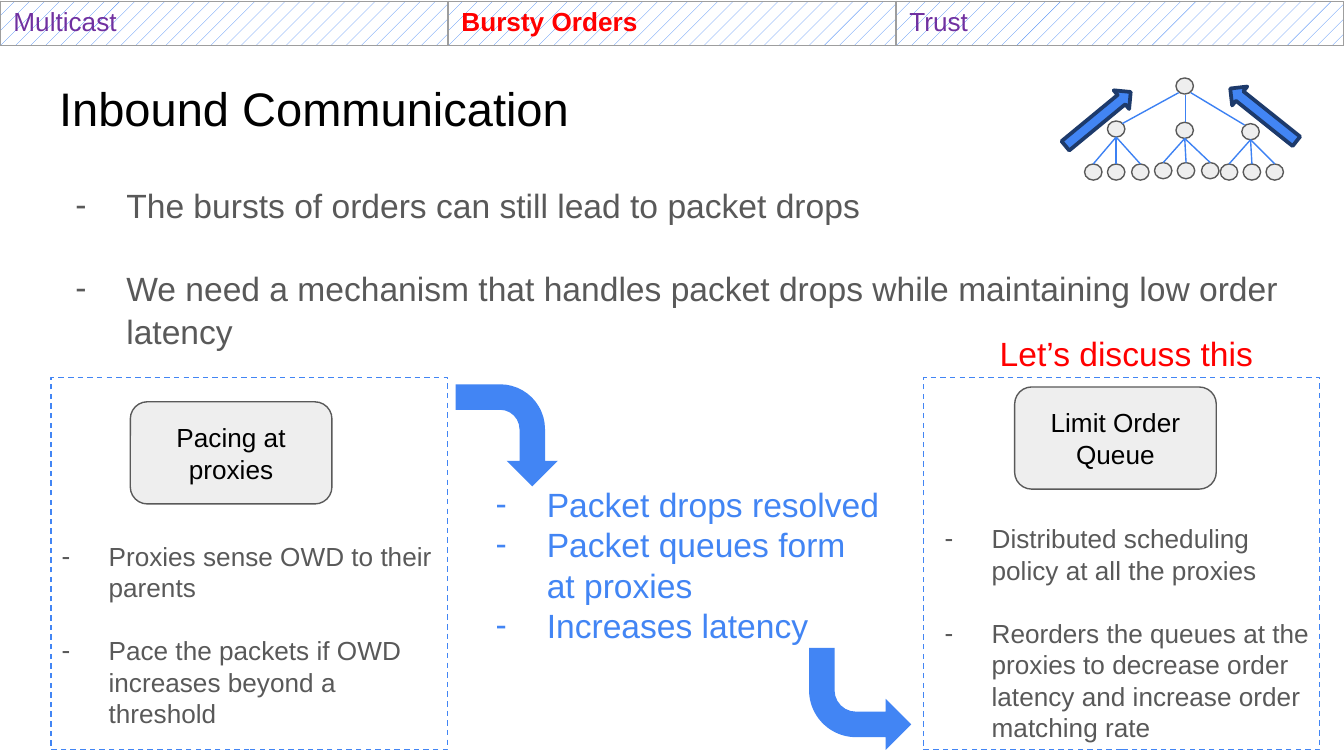
"""Build the slide on inbound communication and bursty orders."""
from lxml import etree
from pptx import Presentation
from pptx.dml.color import RGBColor
from pptx.enum.dml import MSO_LINE, MSO_PATTERN
from pptx.enum.shapes import MSO_CONNECTOR, MSO_SHAPE
from pptx.enum.text import MSO_ANCHOR, MSO_AUTO_SIZE, PP_ALIGN
from pptx.oxml.ns import qn
from pptx.util import Inches, Pt

BLACK = RGBColor(0x00, 0x00, 0x00)
WHITE = RGBColor(0xFF, 0xFF, 0xFF)
GRAY = RGBColor(0x59, 0x59, 0x59)
LIGHT = RGBColor(0xEE, 0xEE, 0xEE)
BLUE = RGBColor(0x42, 0x85, 0xF4)
EDGE_BLUE = RGBColor(0x3C, 0x81, 0xF3)
NAVY = RGBColor(0x1D, 0x3A, 0x6B)
RED = RGBColor(0xFF, 0x00, 0x00)
PURPLE = RGBColor(0x70, 0x30, 0xA0)
BORDER = RGBColor(0x9E, 0x9E, 0x9E)

prs = Presentation()
prs.slide_width = Inches(10)
prs.slide_height = Inches(10 * 9 / 16)
slide = prs.slides.add_slide(prs.slide_layouts[1])
shapes = slide.shapes


def write(frame, lines, size, color, hanging=0, gap=0, align=PP_ALIGN.LEFT):
    frame.word_wrap = True
    frame.auto_size = MSO_AUTO_SIZE.NONE
    frame.margin_left = frame.margin_right = Inches(0.1)
    frame.margin_top = frame.margin_bottom = Inches(0.1)
    frame.text = "\n".join(lines)
    for paragraph in frame.paragraphs:
        paragraph.alignment = align
        paragraph.space_before = Pt(0)
        paragraph.space_after = Pt(gap if paragraph.text != lines[-1] else 0)
        font = paragraph.runs[0].font
        font.name, font.size, font.color.rgb = "Arial", Pt(size), color
        if hanging:
            props = paragraph._p.get_or_add_pPr()
            props.set("marL", str(Inches(0.5)))
            props.set("indent", str(-Inches(hanging)))
            bullet_color = etree.SubElement(props, qn("a:buClr"))
            etree.SubElement(bullet_color, qn("a:srgbClr"), val=str(color))
            etree.SubElement(props, qn("a:buFont"), typeface="Arial")
            etree.SubElement(props, qn("a:buChar"), char="-")


def draw(kind, left, top, width, height, fill=None, line=None, weight=0.75):
    shape = shapes.add_shape(kind, Inches(left), Inches(top), Inches(width), Inches(height))
    shape.shadow.inherit = False
    if fill is None:
        shape.fill.background()
    else:
        shape.fill.solid()
        shape.fill.fore_color.rgb = fill
    if line is None:
        shape.line.fill.background()
    else:
        shape.line.color.rgb = line
        shape.line.width = Pt(weight)
    return shape


title, body = shapes.title, slide.placeholders[1]
title.left, title.top, title.width, title.height = [Inches(v) for v in (0.34, 0.49, 9.32, 0.63)]
body.left, body.top, body.width, body.height = [Inches(v) for v in (0.34, 1.26, 9.32, 1.47)]
title.text_frame.vertical_anchor = MSO_ANCHOR.MIDDLE
write(title.text_frame, ["Inbound Communication"], 25.2, BLACK)
write(body.text_frame, [
    "The bursts of orders can still lead to packet drops",
    "We need a mechanism that handles packet drops while maintaining low order latency",
], 18, GRAY, hanging=0.38, gap=22)
for paragraph in body.text_frame.paragraphs:
    paragraph.line_spacing = 1.05

for panel_left in (6.87, 0.38):
    panel = draw(MSO_SHAPE.RECTANGLE, panel_left, 2.81, 2.95, 2.77, line=BLUE)
    panel.line.dash_style = MSO_LINE.DASH

for heading, left, top in (("Pacing at proxies", 0.97, 2.99), ("Limit Order Queue", 7.55, 2.88)):
    badge = draw(MSO_SHAPE.ROUNDED_RECTANGLE, left, top, 1.5, 0.76, LIGHT, GRAY)
    badge.text_frame.vertical_anchor = MSO_ANCHOR.MIDDLE
    write(badge.text_frame, [heading], 14, BLACK, align=PP_ALIGN.CENTER)

pacing = ["Proxies sense OWD to their parents",
          "Pace the packets if OWD increases beyond a threshold"]
effects = ["Packet drops resolved", "Packet queues form at proxies", "Increases latency"]
queueing = ["Distributed scheduling policy at all the proxies",
            "Reorders the queues at the proxies to decrease order latency "
            "and increase order matching rate"]
for lines, left, top, width, height, size, color, hanging, gap in (
    (pacing, 0.21, 3.92, 3.12, 1.62, 14, GRAY, 0.35, 17),
    (effects, 3.47, 3.5, 3.18, 1.41, 18, BLUE, 0.38, 0),
    (queueing, 6.78, 3.79, 3.12, 1.85, 14, GRAY, 0.35, 17),
    (["Let’s discuss this"], 7.34, 2.38, 2.2, 0.5, 18, RED, 0, 0),
):
    note = shapes.add_textbox(Inches(left), Inches(top), Inches(width), Inches(height))
    write(note.text_frame, lines, size, color, hanging, gap)

for left, top, rotation, bend in ((3.39, 2.86, 90, 0.44), (6.02, 4.82, 180, 0.46)):
    turn = draw(MSO_SHAPE.BENT_ARROW, left, top, 0.76, 0.76, BLUE)
    turn.rotation = rotation
    turn.adjustments[3] = bend
turn._element.spPr.find(qn("a:xfrm")).set("flipH", "1")

agenda = shapes.add_table(1, 3, Inches(0), Inches(0.01), Inches(10), Inches(0.33)).table
agenda.first_row = agenda.horz_banding = False
for cell, (topic, color) in zip(agenda.iter_cells(), (
    ("Multicast", PURPLE), ("Bursty Orders", RED), ("Trust", PURPLE),
)):
    cell.text = topic
    font = cell.text_frame.paragraphs[0].runs[0].font
    font.name, font.size, font.color.rgb, font.bold = "Arial", Pt(14), color, color == RED
    props = cell._tc.get_or_add_tcPr()
    for side in ("a:lnL", "a:lnR", "a:lnT", "a:lnB"):
        border = etree.SubElement(props, qn(side), w=str(Pt(0.75)))
        border_fill = etree.SubElement(border, qn("a:solidFill"))
        etree.SubElement(border_fill, qn("a:srgbClr"), val=str(BORDER))
    cell.fill.patterned()
    cell.fill.pattern = MSO_PATTERN.PERCENT_10
    cell.fill.fore_color.rgb, cell.fill.back_color.rgb = BLUE, WHITE

NODE_W, NODE_H = 0.13, 0.12
root = (8.75, 0.58)
branches = {
    (8.24, 0.9): [(8.07, 1.22), (8.24, 1.22), (8.42, 1.22)],
    (8.75, 0.91): [(8.59, 1.21), (8.76, 1.21), (8.94, 1.21)],
    (9.24, 0.92): [(9.08, 1.22), (9.25, 1.22), (9.42, 1.22)],
}
nodes = [root, *branches, *(leaf for leaves in branches.values() for leaf in leaves)]
for left, top in nodes:
    draw(MSO_SHAPE.OVAL, left, top, NODE_W, NODE_H, LIGHT, GRAY)

edges = [(8.77, 0.69, 8.35, 0.92), (8.82, 0.71, 8.82, 0.91), (8.86, 0.69, 9.26, 0.93)]
for (left, top), leaves in branches.items():
    for leaf_left, leaf_top in leaves:
        edges.append((left + NODE_W / 2, top + NODE_H, leaf_left + NODE_W / 2, leaf_top))
for edge in edges:
    branch = shapes.add_connector(MSO_CONNECTOR.STRAIGHT, *[Inches(v) for v in edge])
    branch.line.color.rgb, branch.line.width = EDGE_BLUE, Pt(0.75)
    etree.SubElement(branch._element.spPr, qn("a:effectLst"))

for left, top, rotation in ((8.08, 0.57, 50.5), (9.31, 0.54, 308.6)):
    upstream = draw(MSO_SHAPE.UP_ARROW, left, top, 0.18, 0.63, BLUE, NAVY, 2)
    upstream.rotation = rotation

prs.save("out.pptx")
